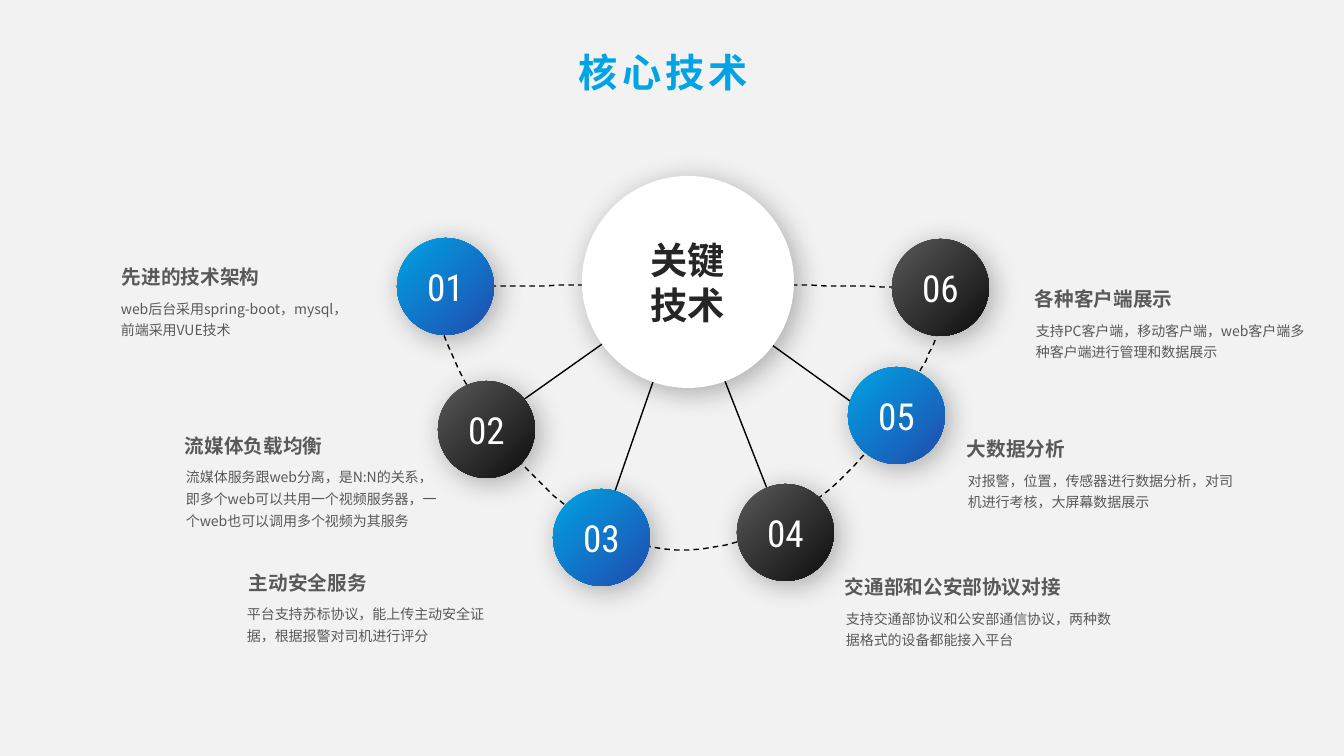
from pptx import Presentation
from pptx.dml.color import RGBColor
from pptx.enum.dml import MSO_LINE
from pptx.enum.shapes import MSO_CONNECTOR, MSO_SHAPE
from pptx.enum.text import MSO_ANCHOR, MSO_AUTO_SIZE, PP_ALIGN
from pptx.oxml import parse_xml
from pptx.oxml.ns import nsdecls, qn
from pptx.util import Pt

OVAL, RECT = MSO_SHAPE.OVAL, MSO_SHAPE.RECTANGLE
LINE, DASH = MSO_CONNECTOR.STRAIGHT, MSO_LINE.DASH
TOP, MID = MSO_ANCHOR.TOP, MSO_ANCHOR.MIDDLE
LEFT, MIDDLE = PP_ALIGN.LEFT, PP_ALIGN.CENTER
GROW = MSO_AUTO_SIZE.SHAPE_TO_FIT_TEXT
SANS, THIN, HEAD = "Noto Sans CJK SC", "Roboto Condensed", "Calibri"
PX = 12192000 / 1344
BLUE, DARK = ("00A3E4", "214BAE"), ("595959", "0D0D0D")
SHADE = (
    f'<a:outerShdw {nsdecls("a")} blurRad="254000" dist="63500" dir="2700000" '
    'algn="tl" rotWithShape="0"><a:srgbClr val="000000">'
    '<a:alpha val="30000"/></a:srgbClr></a:outerShdw>'
)


def px(*vals):
    return [round(v * PX) for v in vals]


def write(shape, text, size, font, color, bold=False, align=LEFT, space=1.0, anchor=TOP):
    frame = shape.text_frame
    frame.word_wrap = True
    frame.vertical_anchor = anchor
    for i, line in enumerate(text.split("\n")):
        para = frame.add_paragraph() if i else frame.paragraphs[0]
        para.alignment = align
        para.line_spacing = space
        run = para.add_run()
        run.text = line
        run.font.size = Pt(size)
        run.font.bold = bold
        run.font.color.rgb = RGBColor.from_string(color)
        run.font.name = font
        east = parse_xml(f'<a:ea {nsdecls("a")} typeface="{font}"/>')
        run.font._element.append(east)
    return frame


prs = Presentation()
prs.slide_width, prs.slide_height = px(1344, 756)
slide = prs.slides.add_slide(prs.slide_layouts[5])
back = slide.background.fill
back.solid()
back.fore_color.rgb = RGBColor.from_string("F2F2F2")
shapes = slide.shapes

title = shapes.title
title.left, title.top, title.width, title.height = px(369, 29, 589, 45)
frame = write(title, "核心技术", 28, SANS, "00A3E4", True, MIDDLE, 1.3)
frame.auto_size = MSO_AUTO_SIZE.NONE
frame.paragraphs[0].runs[0].font._element.set("spc", "300")

curves = [
    [(442, 286), (481, 287), (903, 280), (946, 292)],
    [(946, 292), (953, 326), (858, 542), (689, 550)],
    [(689, 550), (520, 557), (405, 284), (442, 286)],
]
points = []
for a, b, c, d in curves:
    for step in range(1, 41):
        t = step / 40
        u = 1 - t
        points.append([
            u**3 * a[k] + 3 * u * u * t * b[k] + 3 * u * t * t * c[k] + t**3 * d[k]
            for k in (0, 1)
        ])
path = shapes.build_freeform(*points[-1], scale=PX)
path.add_line_segments(points, close=True)
ring = path.convert_to_shape()
ring.shadow.inherit = False
ring.fill.background()
ring.line.color.rgb = RGBColor.from_string("000000")
ring.line.width = Pt(1)
ring.line.dash_style = DASH

for x, y in [(468, 439), (596, 546), (786, 537), (903, 439)]:
    spoke = shapes.add_connector(LINE, *px(x, y, 687, 284))
    spoke.line.color.rgb = RGBColor.from_string("000000")
    spoke.line.width = Pt(1)
    spoke._element.spPr.append(parse_xml(f'<a:effectLst {nsdecls("a")}/>'))

spots = [(397, 238), (438, 381), (553, 489), (737, 484), (848, 367), (892, 239)]
for i, (x, y) in enumerate(spots):
    ball = shapes.add_shape(OVAL, *px(x, y, 97, 97))
    ball.line.fill.background()
    ball.fill.gradient()
    ball.fill.gradient_angle = 315
    for stop, color in zip(ball.fill.gradient_stops, DARK if i % 2 else BLUE):
        stop.color.rgb = RGBColor.from_string(color)
    ball.shadow.inherit = False
    ball._element.spPr.find(qn("a:effectLst")).append(parse_xml(SHADE))
    write(ball, f"{i + 1:02}", 26.6, THIN, "FFFFFF", align=MIDDLE, anchor=MID)

notes = [
    (105, 260, 6, 270, 54, "先进的技术架构", "web后台采用spring-boot，mysql，\n前端采用VUE技术"),
    (168, 429, 8, 278, 77, "流媒体负载均衡",
     "流媒体服务跟web分离，是N:N的关系，即多个web可以共用一个视频服务器，一个web也可以调用多个视频为其服务"),
    (232, 566, 5, 267, 54, "主动安全服务",
     "平台支持苏标协议，能上传主动安全证据，根据报警对司机进行评分"),
    (828, 570, 8, 295, 54, "交通部和公安部协议对接",
     "支持交通部协议和公安部通信协议，两种数据格式的设备都能接入平台"),
    (950, 432, 8, 295, 54, "大数据分析",
     "对报警，位置，传感器进行数据分析，对司机进行考核，大屏幕数据展示"),
    (1018, 282, 8, 295, 54, "各种客户端展示",
     "支持PC客户端，移动客户端，web客户端多种客户端进行管理和数据展示"),
]
for x, y, shift, wide, high, head, body in notes:
    box = shapes.add_textbox(*px(x, y, 255, 42))
    frame = write(box, head, 14, HEAD, "595959", True, space=1.2)
    frame.margin_left, frame.margin_right = px(17, 17)
    frame.margin_top = frame.margin_bottom = 0
    box = shapes.add_textbox(*px(x + shift, y + 30, wide, high))
    write(box, body, 10, SANS, "595959", space=1.3).auto_size = GROW

hub = shapes.add_group_shape().shapes
disc = hub.add_shape(OVAL, *px(582, 176, 212, 212))
label = hub.add_shape(RECT, *px(636, 230, 103, 104))
for part in (disc, label):
    part.fill.solid()
    part.fill.fore_color.rgb = RGBColor.from_string("FFFFFF")
    part.line.fill.background()
    part.shadow.inherit = False
disc._element.spPr.find(qn("a:effectLst")).append(parse_xml(SHADE))
frame = write(label, "关键技术", 26.6, THIN, "262626", True, MIDDLE, anchor=MID)
frame.margin_left = frame.margin_right = frame.margin_top = frame.margin_bottom = 0

prs.save("out.pptx")
